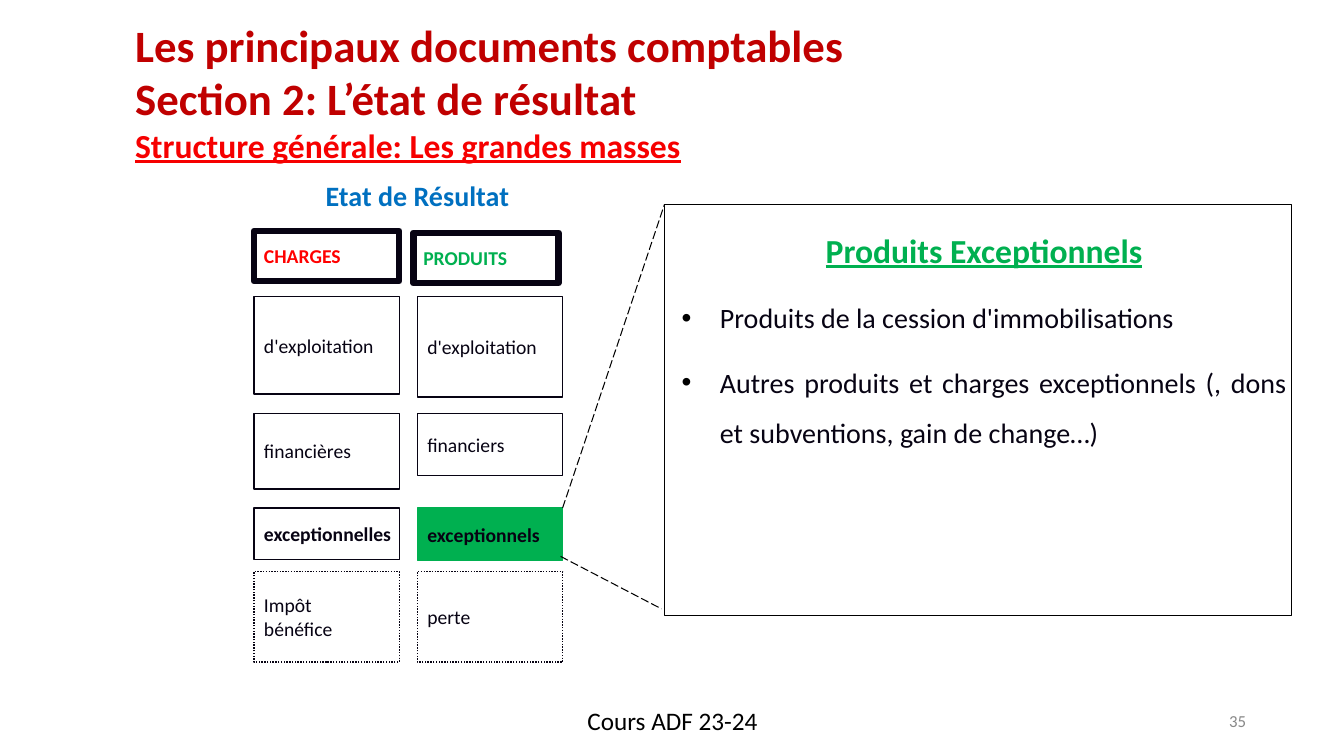
from lxml.etree import SubElement
from pptx import Presentation
from pptx.dml.color import RGBColor
from pptx.enum.dml import MSO_LINE_DASH_STYLE as Dash
from pptx.enum.shapes import MSO_CONNECTOR as Connector, MSO_SHAPE as Shape
from pptx.enum.text import MSO_ANCHOR as Anchor, MSO_AUTO_SIZE as AutoSize, PP_ALIGN as Align
from pptx.oxml.ns import qn
from pptx.util import Emu, Pt

BLACK = RGBColor(0, 0, 0)
INK = RGBColor(0x07, 0x03, 0x13)
RED = RGBColor(0xFF, 0, 0)
BRIGHT_RED = RGBColor(0xF6, 0, 0)
DARK_RED = RGBColor(0xC0, 0, 0)
GREEN = RGBColor(0, 0xB0, 0x50)
BLUE = RGBColor(0, 0x70, 0xC0)
GREY = RGBColor(0x88, 0x88, 0x88)

HEADING = dict(size=32, color=DARK_RED, bold=True)
SUBHEADING = dict(size=24, color=BRIGHT_RED, bold=True, underline=True)
TITLE = [
    ("Les principaux documents comptables", HEADING),
    ("Section 2: L’état de résultat", HEADING),
    ("Structure générale: Les grandes masses", SUBHEADING),
]
DETAIL_TITLE = "Produits Exceptionnels"
DETAIL_ITEMS = [
    "Produits de la cession d'immobilisations",
    "Autres produits et charges exceptionnels (, dons et subventions, gain de change…)",
]

PLAIN = dict(size=14, color=INK)
STRONG = dict(size=14, color=INK, bold=True)
HEADERS = [("CHARGES", 252, 229, RED), ("PRODUITS", 410, 231, GREEN)]
COLUMN_LEFTS = [252, 414]
BOX_WIDTH, HEADER_HEIGHT = 144, 50
ROWS = [
    (294, PLAIN, None, [(["d'exploitation"], 97), (["d'exploitation"], 100)]),
    (410, PLAIN, None, [(["financières"], 75), (["financiers"], 62)]),
    (504, STRONG, None, [(["exceptionnelles"], 51), (["exceptionnels"], 52)]),
    (567, PLAIN, Dash.ROUND_DOT, [(["Impôt", "bénéfice"], 90), (["perte"], 90)]),
]
HIGHLIGHT = "exceptionnels"
CALLOUT_LINES = [(558, 504, 659, 203), (556, 552, 656, 604)]
LABELS = [
    ("35", (1203, 700, 38, 30), 5, Anchor.MIDDLE, Align.RIGHT, 1.0, dict(size=12, color=GREY)),
    ("Etat de Résultat", (214, 179, 400, 36), 10, Anchor.BOTTOM, Align.CENTER, 0.75,
     dict(size=20, color=BLUE, bold=True)),
    ("Cours ADF 23-24", (456, 695, 422, 40), 10, Anchor.TOP, Align.CENTER, 1.0,
     dict(size=18, color=BLACK)),
]


def px(value):
    return Emu(value * 9144)


def place(shape, *area):
    for name, value in zip(("left", "top", "width", "height"), area):
        setattr(shape, name, px(value))


def set_font(paragraph, size, color, **formats):
    font = paragraph.font
    font.color.rgb = color
    for name, value in dict(name="Calibri", size=Pt(size), **formats).items():
        setattr(font, name, value)


def write(frame, lines, align=Align.LEFT, spacing=1.0):
    for index, (text, formats) in enumerate(lines):
        paragraph = frame.add_paragraph() if index else frame.paragraphs[0]
        paragraph.text = text
        paragraph.alignment = align
        paragraph.line_spacing = spacing
        set_font(paragraph, **formats)


def set_frame(frame, wrap, anchor, side=10, edge=5):
    formats = dict(word_wrap=wrap, vertical_anchor=anchor, auto_size=AutoSize.NONE,
                   margin_left=px(side), margin_right=px(side),
                   margin_top=px(edge), margin_bottom=px(edge))
    for name, value in formats.items():
        setattr(frame, name, value)


def set_line(line, color, width, dash=None):
    line.color.rgb = color
    line.width = Pt(width)
    if dash:
        line.dash_style = dash


def add_box(slide, area, lines, width, dash=None, fill=None):
    box = slide.shapes.add_shape(Shape.RECTANGLE, *map(px, area))
    box.shadow.inherit = False
    if fill:
        box.fill.solid()
        box.fill.fore_color.rgb = fill
    else:
        box.fill.background()
    set_line(box.line, fill or INK, width, dash)
    set_frame(box.text_frame, False, Anchor.MIDDLE)
    write(box.text_frame, lines)


def set_bullet(paragraph, character):
    properties = paragraph._p.get_or_add_pPr()
    properties.set("marL", str(px(50)))
    properties.set("indent", str(px(-38)))
    if not character:
        SubElement(properties, qn("a:buNone"))
        return
    color = SubElement(properties, qn("a:buClr"))
    SubElement(color, qn("a:srgbClr"), val=str(BLACK))
    SubElement(properties, qn("a:buFont"), typeface="Arial")
    SubElement(properties, qn("a:buChar"), char=character)


def fill_detail(body):
    place(body, 659, 203, 622, 408)
    set_line(body.line, BLACK, 0.75)
    frame = body.text_frame
    set_frame(frame, True, Anchor.TOP, side=5)
    item_format = dict(size=20, color=INK)
    title_format = dict(size=24, color=GREEN, bold=True, underline=True)
    lines = [(DETAIL_TITLE, title_format)] + [(item, item_format) for item in DETAIL_ITEMS]
    for index, (text, formats) in enumerate(lines):
        paragraph = frame.add_paragraph() if index else frame.paragraphs[0]
        paragraph.text = text
        paragraph.alignment = Align.JUSTIFY if index else Align.CENTER
        paragraph.line_spacing = 1.5
        paragraph.space_before = Pt(10 if index else 0)
        set_bullet(paragraph, "•" if index else None)
        set_font(paragraph, **formats)


def main():
    presentation = Presentation()
    presentation.slide_width, presentation.slide_height = px(1333), px(750)
    slide = presentation.slides.add_slide(presentation.slide_layouts[1])

    title, body = slide.placeholders
    place(title, 124, 13, 1079, 155)
    set_frame(title.text_frame, True, Anchor.MIDDLE)
    write(title.text_frame, TITLE)
    fill_detail(body)

    for text, left, top, color in HEADERS:
        add_box(slide, (left, top, BOX_WIDTH, HEADER_HEIGHT),
                [(text, dict(size=14, color=color, bold=True))], 4.5)
    for top, formats, dash, cells in ROWS:
        for left, (texts, height) in zip(COLUMN_LEFTS, cells):
            add_box(slide, (left, top, BOX_WIDTH, height), [(text, formats) for text in texts],
                    1, dash, GREEN if HIGHLIGHT in texts else None)

    for ends in CALLOUT_LINES:
        connector = slide.shapes.add_connector(Connector.STRAIGHT, *map(px, ends))
        set_line(connector.line, BLACK, 0.75, Dash.LONG_DASH)
        SubElement(connector._element.spPr, qn("a:effectLst"))

    for text, area, side, anchor, align, spacing, formats in LABELS:
        label = slide.shapes.add_textbox(*map(px, area))
        set_frame(label.text_frame, True, anchor, side)
        write(label.text_frame, [(text, formats)], align, spacing)

    presentation.save("out.pptx")


if __name__ == "__main__":
    main()
